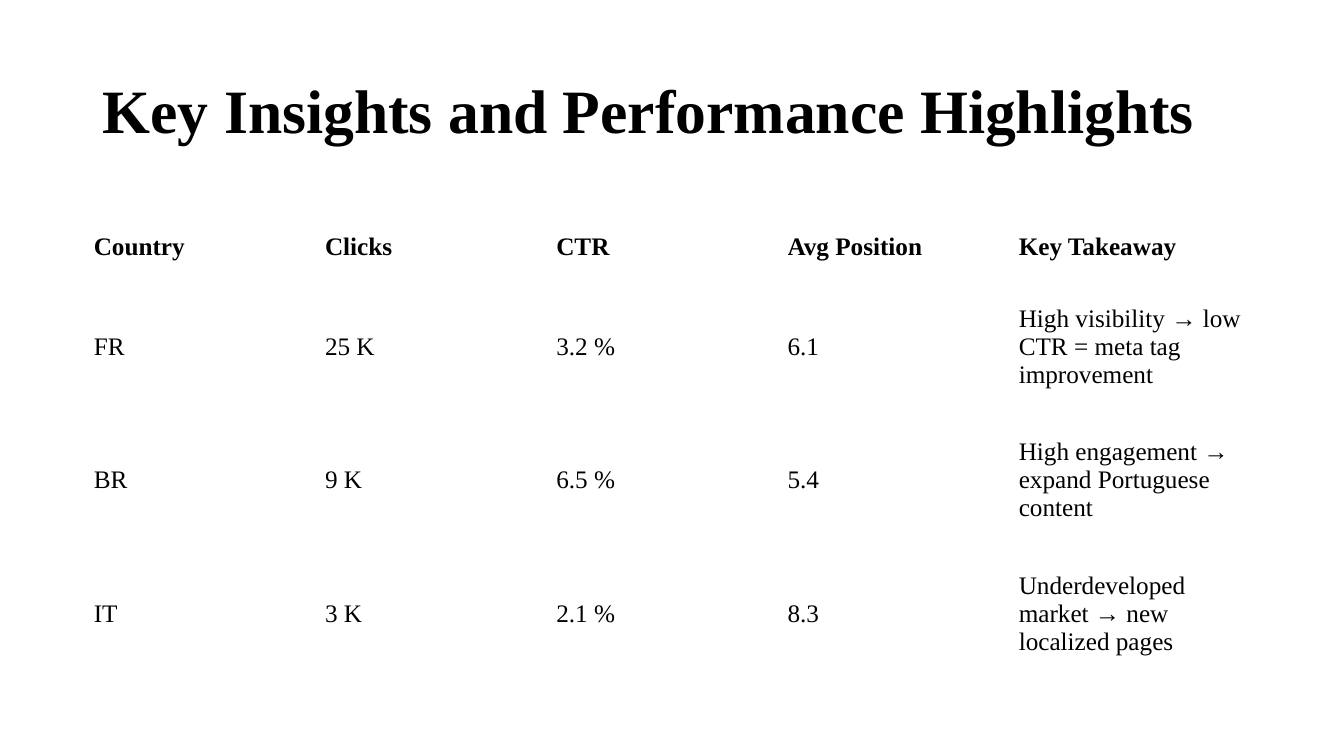
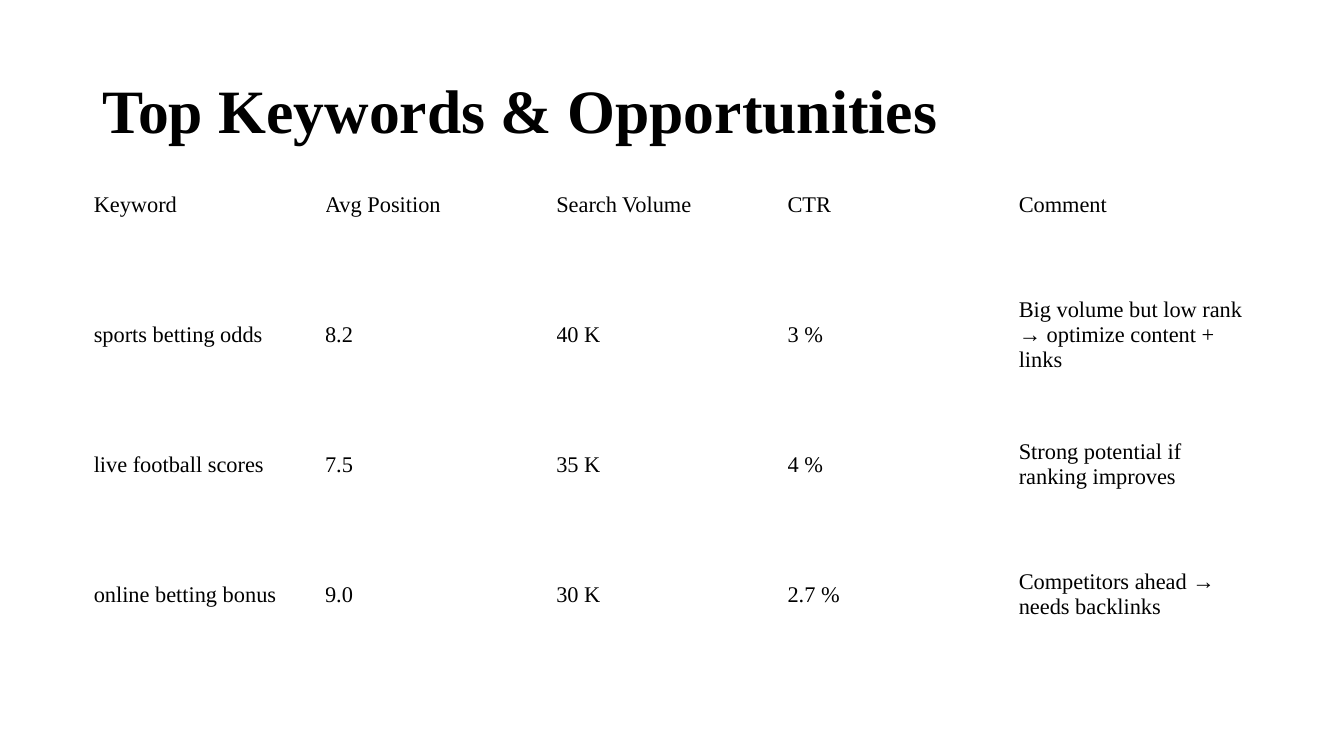
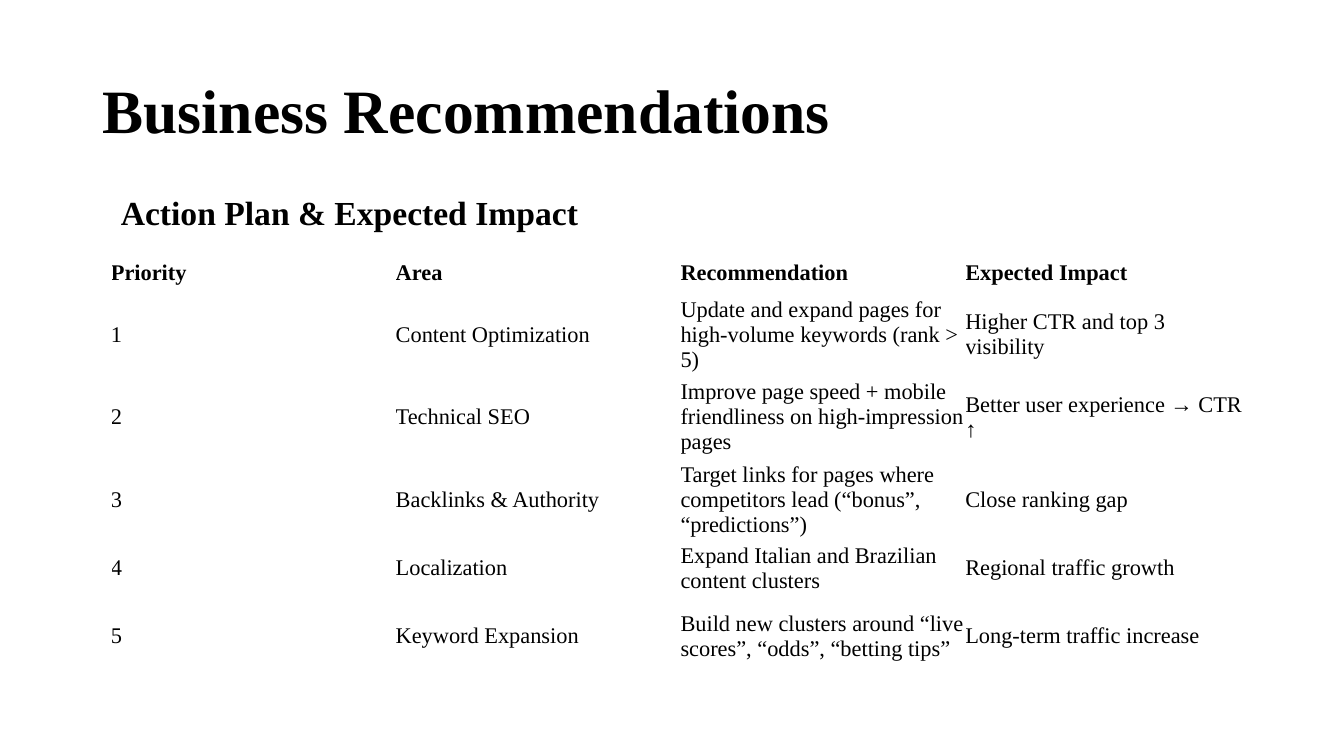
"""Build three slides of search performance tables."""
from dataclasses import dataclass

from pptx import Presentation
from pptx.dml.color import RGBColor
from pptx.enum.text import MSO_ANCHOR as Anchor
from pptx.slide import Slide
from pptx.text.text import _Paragraph as Paragraph
from pptx.util import Emu, Pt

EMU_PER_PX = 9144
BLACK = RGBColor(0x00, 0x00, 0x00)
FONT = "Times New Roman"
BLANK_LAYOUT = 6


@dataclass(frozen=True)
class Box:
    left: int
    top: int
    width: int
    height: int


@dataclass(frozen=True)
class TableContent:
    box: Box
    row_heights: tuple[int, ...]
    size: int
    bold_header: bool
    rows: tuple[tuple[str, ...], ...]


@dataclass(frozen=True)
class SlideContent:
    title: str
    table: TableContent
    subtitle: str = ""


SLIDE_WIDTH, SLIDE_HEIGHT = 1333, 750
TITLE_BOX = Box(92, 40, 1150, 145)
SUBTITLE_BOX = Box(110, 185, 556, 50)

SLIDES = (
    SlideContent(
        "Key Insights and Performance Highlights",
        TableContent(Box(93, 212, 1147, 463), (66, 132, 133, 132), 18, True, (
            ("Country", "Clicks", "CTR", "Avg Position", "Key Takeaway"),
            ("FR", "25 K", "3.2 %", "6.1", "High visibility → low CTR = meta tag improvement"),
            ("BR", "9 K", "6.5 %", "5.4", "High engagement → expand Portuguese content"),
            ("IT", "3 K", "2.1 %", "8.3", "Underdeveloped market → new localized pages"),
        )),
    ),
    SlideContent(
        "Top Keywords & Opportunities",
        TableContent(Box(93, 160, 1147, 516), (86, 172, 86, 172), 16, False, (
            ("Keyword", "Avg Position", "Search Volume", "CTR", "Comment"),
            ("sports betting odds", "8.2", "40 K", "3 %",
             "Big volume but low rank → optimize content + links"),
            ("live football scores", "7.5", "35 K", "4 %", "Strong potential if ranking improves"),
            ("online betting bonus", "9.0", "30 K", "2.7 %", "Competitors ahead → needs backlinks"),
        )),
    ),
    SlideContent(
        "Business Recommendations",
        TableContent(Box(110, 250, 1130, 408), (41, 82, 82, 82, 41, 82), 16, True, (
            ("Priority", "Area", "Recommendation", "Expected Impact"),
            ("1", "Content Optimization",
             "Update and expand pages for high-volume keywords (rank > 5)",
             "Higher CTR and top 3 visibility"),
            ("2", "Technical SEO",
             "Improve page speed + mobile friendliness on high-impression pages",
             "Better user experience → CTR ↑"),
            ("3", "Backlinks & Authority",
             "Target links for pages where competitors lead (“bonus”, “predictions”)",
             "Close ranking gap"),
            ("4", "Localization", "Expand Italian and Brazilian content clusters",
             "Regional traffic growth"),
            ("5", "Keyword Expansion",
             "Build new clusters around “live scores”, “odds”, “betting tips”",
             "Long-term traffic increase"),
        )),
        subtitle="Action Plan & Expected Impact",
    ),
)


def px(length: float) -> Emu:
    return Emu(round(length * EMU_PER_PX))


def place(box: Box) -> tuple[Emu, Emu, Emu, Emu]:
    return px(box.left), px(box.top), px(box.width), px(box.height)


def add_run(paragraph: Paragraph, text: str, size: int, bold: bool) -> None:
    run = paragraph.add_run()
    run.text = text
    run.font.name = FONT
    run.font.size = Pt(size)
    run.font.bold = bold
    run.font.color.rgb = BLACK


def add_heading(slide: Slide, box: Box, text: str, size: int,
                anchor: Anchor = Anchor.TOP, line_spacing: float = 1.0) -> None:
    frame = slide.shapes.add_textbox(*place(box)).text_frame
    frame.word_wrap = True
    frame.vertical_anchor = anchor
    paragraph = frame.paragraphs[0]
    paragraph.line_spacing = line_spacing
    add_run(paragraph, text, size, True)


def add_grid(slide: Slide, content: TableContent) -> None:
    column_count = len(content.rows[0])
    table = slide.shapes.add_table(len(content.rows), column_count, *place(content.box)).table
    table.first_row = False
    table.horz_banding = False
    for column in table.columns:
        column.width = px(content.box.width / column_count)
    for row_index, texts in enumerate(content.rows):
        table.rows[row_index].height = px(content.row_heights[row_index])
        bold = content.bold_header and row_index == 0
        for column_index, text in enumerate(texts):
            cell = table.cell(row_index, column_index)
            cell.fill.background()
            cell.vertical_anchor = Anchor.MIDDLE
            cell.margin_left = cell.margin_right = 0
            cell.margin_top = cell.margin_bottom = 0
            add_run(cell.text_frame.paragraphs[0], text, content.size, bold)


def main() -> None:
    presentation = Presentation()
    presentation.slide_width = px(SLIDE_WIDTH)
    presentation.slide_height = px(SLIDE_HEIGHT)
    for content in SLIDES:
        slide = presentation.slides.add_slide(presentation.slide_layouts[BLANK_LAYOUT])
        add_heading(slide, TITLE_BOX, content.title, 44, Anchor.MIDDLE, 0.9)
        if content.subtitle:
            add_heading(slide, SUBTITLE_BOX, content.subtitle, 24)
        add_grid(slide, content.table)
    presentation.save("out.pptx")


if __name__ == "__main__":
    main()
